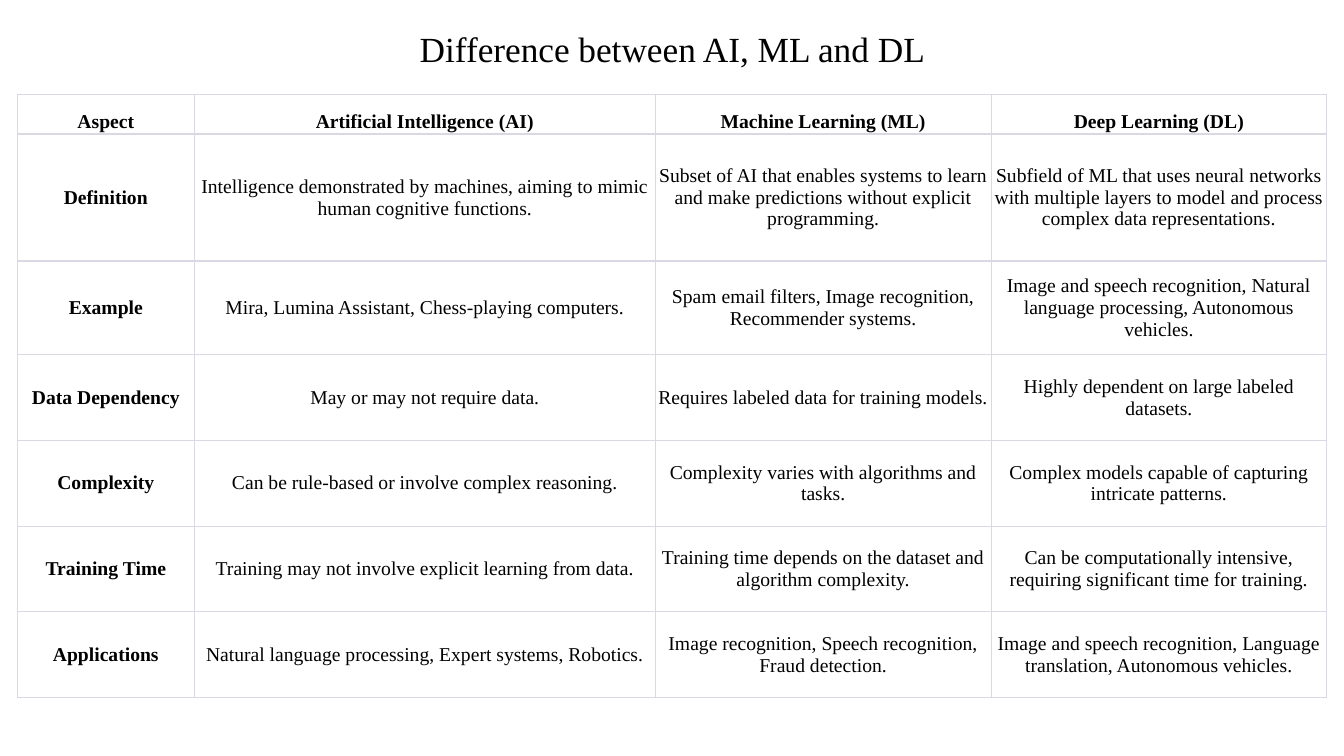
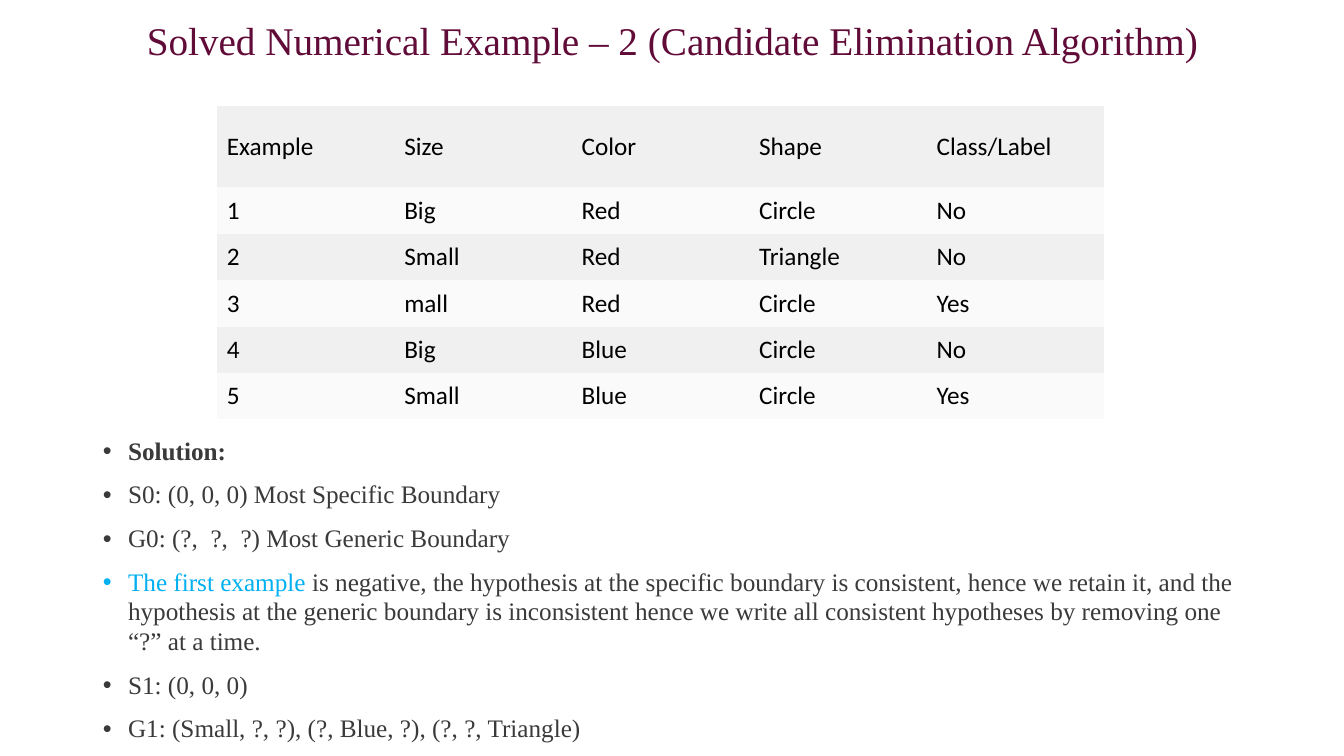
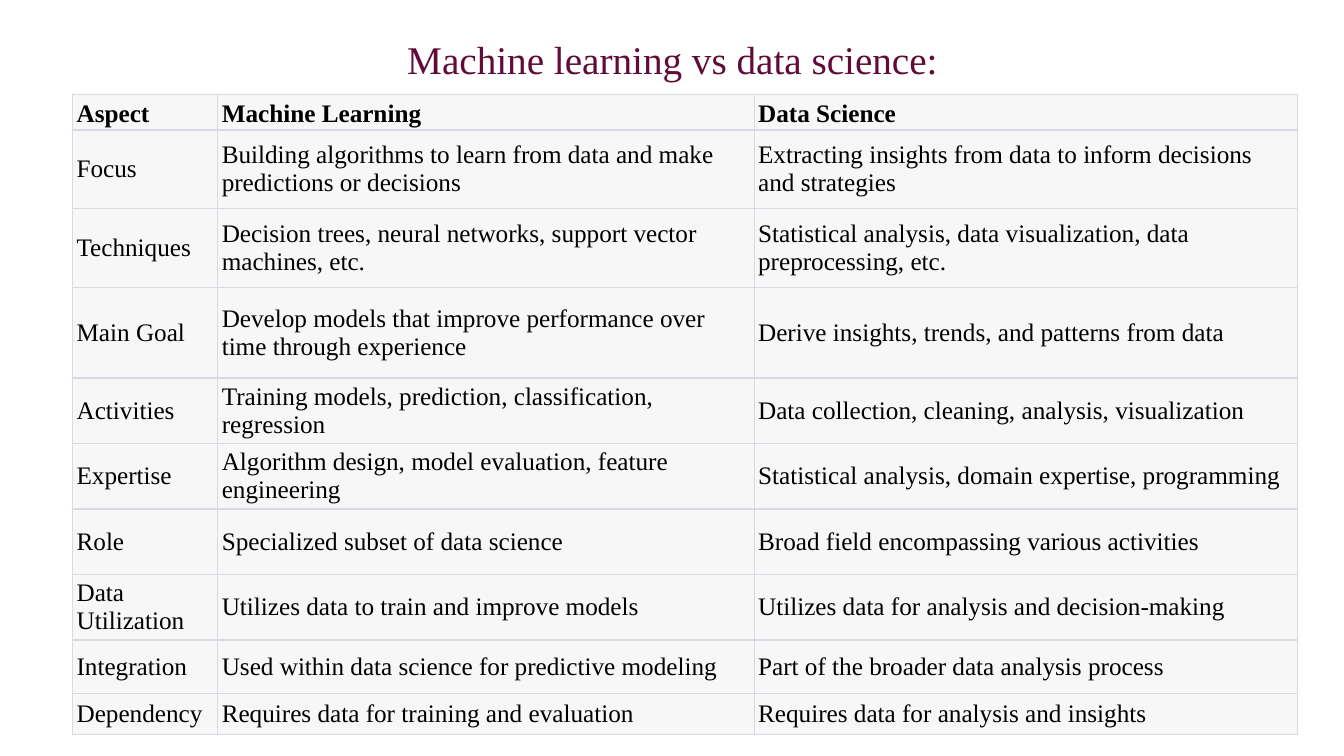
from pptx import Presentation
from pptx.dml.color import RGBColor
from pptx.enum.text import MSO_ANCHOR as Anchor, MSO_AUTO_SIZE as Fit, PP_ALIGN as Align
from pptx.oxml import parse_xml
from pptx.oxml.ns import nsdecls
from pptx.util import Inches, Pt

HUES = {"ink": "000000", "wine": "610B38", "text": "3A3A3A", "sky": "00B0F0",
        "rule": "D9D9E3", "pale": "F7F7F8", "band": "F0F0F0", "light": "FAFAFA"}
SERIF, SANS = "Times New Roman", "Calibri"
PLAIN = "{2D5ABB26-0587-4C30-8999-92F81FD0307C}"
LEFT, WIDE = 0.92, 11.5


def hue(name):
    return RGBColor.from_string(HUES[name])


class Deck:
    def __init__(self):
        self.prs = Presentation()
        self.prs.slide_width, self.prs.slide_height = Inches(13.33), Inches(7.5)
        self.slide = None

    def add(self, layout):
        self.slide = self.prs.slides.add_slide(self.prs.slide_layouts.get_by_name(layout))

    def style(self, para, size, color, font=SERIF, bold=False):
        face = para.font
        face.size, face.name, face.bold = Pt(size), font, bold
        face.color.rgb = hue(color)

    def place(self, shape, top, high, anchor):
        shape.left, shape.top = Inches(LEFT), Inches(top)
        shape.width, shape.height = Inches(WIDE), Inches(high)
        frame = shape.text_frame
        frame.auto_size, frame.vertical_anchor = Fit.NONE, anchor
        return frame

    def title(self, text, top, high, size=28, color="wine"):
        frame = self.place(self.slide.shapes.title, top, high, Anchor.MIDDLE)
        frame.text = text
        para = frame.paragraphs[0]
        para.alignment, para.line_spacing = Align.CENTER, 0.9
        self.style(para, size, color)

    def bullets(self, items, top, high):
        """Each item is a list of (text, colour, bold) runs."""
        frame = self.place(self.slide.placeholders[1], top, high, Anchor.TOP)
        for i, runs in enumerate(items):
            para = frame.add_paragraph() if i else frame.paragraphs[0]
            para.line_spacing, para.space_before = 0.98, Pt(10 if i else 0)
            props = para._p.get_or_add_pPr()
            props.set("marL", str(Inches(0.25)))
            props.set("indent", str(Inches(-0.25)))
            props.append(parse_xml(f'<a:buFont {nsdecls("a")} typeface="Arial"/>'))
            props.append(parse_xml(f'<a:buChar {nsdecls("a")} char="•"/>'))
            for text, color, bold in runs:
                run = para.add_run()
                run.text = text
                self.style(run, 18, color, bold=bold)

    def edge(self, cell, top, bottom):
        props = cell._tc.get_or_add_tcPr()
        for side, width in zip("LRTB", (0.6, 0.6, top, bottom)):
            props.append(parse_xml(
                f'<a:ln{side} {nsdecls("a")} w="{Pt(width)}"><a:solidFill>'
                f'<a:srgbClr val="{HUES["rule"]}"/></a:solidFill></a:ln{side}>'))

    def table(self, left, top, cols, highs, rows, size=18, font=SERIF, fills=(),
              pad=None, ruled=True, end=1, align=Align.LEFT, bold=lambda r, c: r == 0):
        """Fills repeat row by row; end is the width of the lowest rule."""
        frame = self.slide.shapes.add_table(
            len(rows), len(cols), Inches(left), Inches(top),
            Inches(sum(cols)), Inches(sum(highs)))
        grid = frame.table
        grid.first_row = grid.horz_banding = False
        grid._tbl.tblPr[0].text = PLAIN
        for col, width in zip(grid.columns, cols):
            col.width = Inches(width)
        for r, (row, high) in enumerate(zip(rows, highs)):
            grid.rows[r].height = Inches(high)
            for c, text in enumerate(row):
                cell = grid.cell(r, c)
                cell.text = text
                head = ruled and r == 0
                cell.vertical_anchor = Anchor.BOTTOM if head else Anchor.MIDDLE
                if pad:
                    cell.margin_left = cell.margin_right = Inches(pad)
                    cell.margin_top = cell.margin_bottom = Inches(pad / 2)
                if ruled:
                    self.edge(cell, 1 if r else 0.6, end if r == len(rows) - 1 else 1)
                if fills:
                    cell.fill.solid()
                    cell.fill.fore_color.rgb = hue(fills[r % len(fills)])
                else:
                    cell.fill.background()
                para = cell.text_frame.paragraphs[0]
                para.alignment = align
                self.style(para, size, "ink", font, bold(r, c))


FIELDS = [
    ("Aspect", "Artificial Intelligence (AI)", "Machine Learning (ML)", "Deep Learning (DL)"),
    ("Definition",
     "Intelligence demonstrated by machines, aiming to mimic human cognitive functions.",
     "Subset of AI that enables systems to learn and make predictions without explicit programming.",
     "Subfield of ML that uses neural networks with multiple layers to model and process "
     "complex data representations."),
    ("Example", "Mira, Lumina Assistant, Chess-playing computers.",
     "Spam email filters, Image recognition, Recommender systems.",
     "Image and speech recognition, Natural language processing, Autonomous vehicles."),
    ("Data Dependency", "May or may not require data.",
     "Requires labeled data for training models.",
     "Highly dependent on large labeled datasets."),
    ("Complexity", "Can be rule-based or involve complex reasoning.",
     "Complexity varies with algorithms and tasks.",
     "Complex models capable of capturing intricate patterns."),
    ("Training Time", "Training may not involve explicit learning from data.",
     "Training time depends on the dataset and algorithm complexity.",
     "Can be computationally intensive, requiring significant time for training."),
    ("Applications", "Natural language processing, Expert systems, Robotics.",
     "Image recognition, Speech recognition, Fraud detection.",
     "Image and speech recognition, Language translation, Autonomous vehicles."),
]

SAMPLES = [
    ("Example", "Size", "Color", "Shape", "Class/Label"),
    ("1", "Big", "Red", "Circle", "No"),
    ("2", "Small", "Red", "Triangle", "No"),
    ("3", "mall", "Red", "Circle", "Yes"),
    ("4", "Big", "Blue", "Circle", "No"),
    ("5", "Small", "Blue", "Circle", "Yes"),
]

STEPS = [
    [("Solution:", "text", True)],
    [("S0: (0, 0, 0) Most Specific Boundary", "text", False)],
    [("G0: (?,  ?,  ?) Most Generic Boundary", "text", False)],
    [("The first example ", "sky", False),
     ("is negative, the hypothesis at the specific boundary is consistent, hence we retain it, "
      "and the hypothesis at the generic boundary is inconsistent hence we write all consistent "
      "hypotheses by removing one “?” at a time.", "text", False)],
    [("S1: (0, 0, 0)", "text", False)],
    [("G1: (Small, ?, ?), (?, Blue, ?), (?, ?, Triangle)", "text", False)],
]

VERSUS = [
    ("Aspect", "Machine Learning", "Data Science"),
    ("Focus", "Building algorithms to learn from data and make predictions or decisions",
     "Extracting insights from data to inform decisions and strategies"),
    ("Techniques", "Decision trees, neural networks, support vector machines, etc.",
     "Statistical analysis, data visualization, data preprocessing, etc."),
    ("Main Goal", "Develop models that improve performance over time through experience",
     "Derive insights, trends, and patterns from data"),
    ("Activities", "Training models, prediction, classification, regression",
     "Data collection, cleaning, analysis, visualization"),
    ("Expertise", "Algorithm design, model evaluation, feature engineering",
     "Statistical analysis, domain expertise, programming"),
    ("Role", "Specialized subset of data science", "Broad field encompassing various activities"),
    ("Data Utilization", "Utilizes data to train and improve models",
     "Utilizes data for analysis and decision-making"),
    ("Integration", "Used within data science for predictive modeling",
     "Part of the broader data analysis process"),
    ("Dependency", "Requires data for training and evaluation",
     "Requires data for analysis and insights"),
]


def main():
    deck = Deck()

    deck.add("Title Only")
    deck.title("Difference between AI, ML and DL", 0.29, 0.44, 25.2, "ink")
    deck.table(0.17, 0.94, [1.76, 4.57, 3.33, 3.33], [0.39, 1.26, 0.93] + [0.85] * 4,
               FIELDS, size=14, pad=0.02, align=Align.CENTER,
               bold=lambda r, c: r == 0 or c == 0)

    deck.add("Title and Content")
    deck.title("Solved Numerical Example – 2 (Candidate Elimination Algorithm)", 0.14, 0.56)
    deck.bullets(STEPS, 4.28, 3.08)
    deck.table(2.15, 1.05, [1.76] * 5, [0.81] + [0.46] * 5, SAMPLES, font=SANS,
               fills=("band", "light"), ruled=False, bold=lambda r, c: False)

    deck.add("Title Only")
    deck.title("Machine learning vs data science:", 0.38, 0.46)
    deck.table(0.72, 0.94, [1.44, 5.32, 5.39],
               [0.35, 0.78, 0.78, 0.9] + [0.65] * 4 + [0.53, 0.41],
               VERSUS, fills=("pale",), pad=0.04, end=0.6)

    deck.prs.save("out.pptx")


if __name__ == "__main__":
    main()
